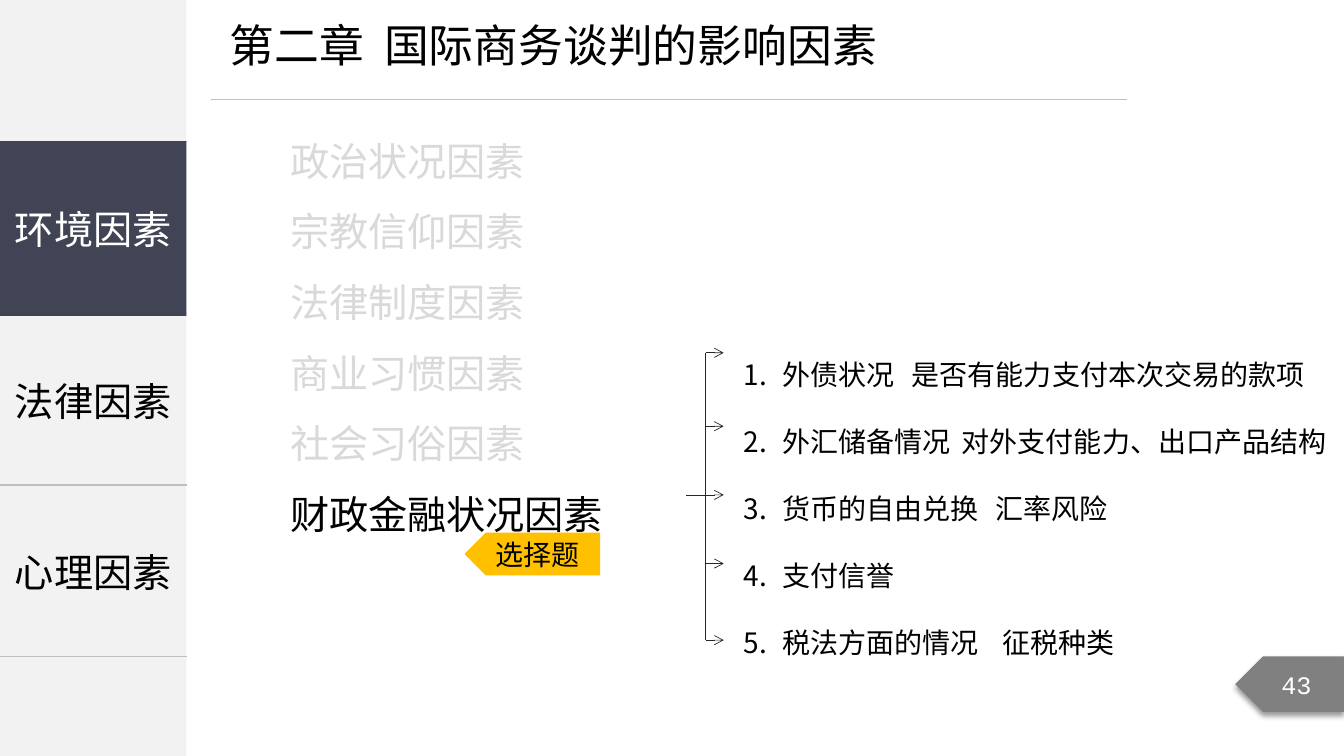
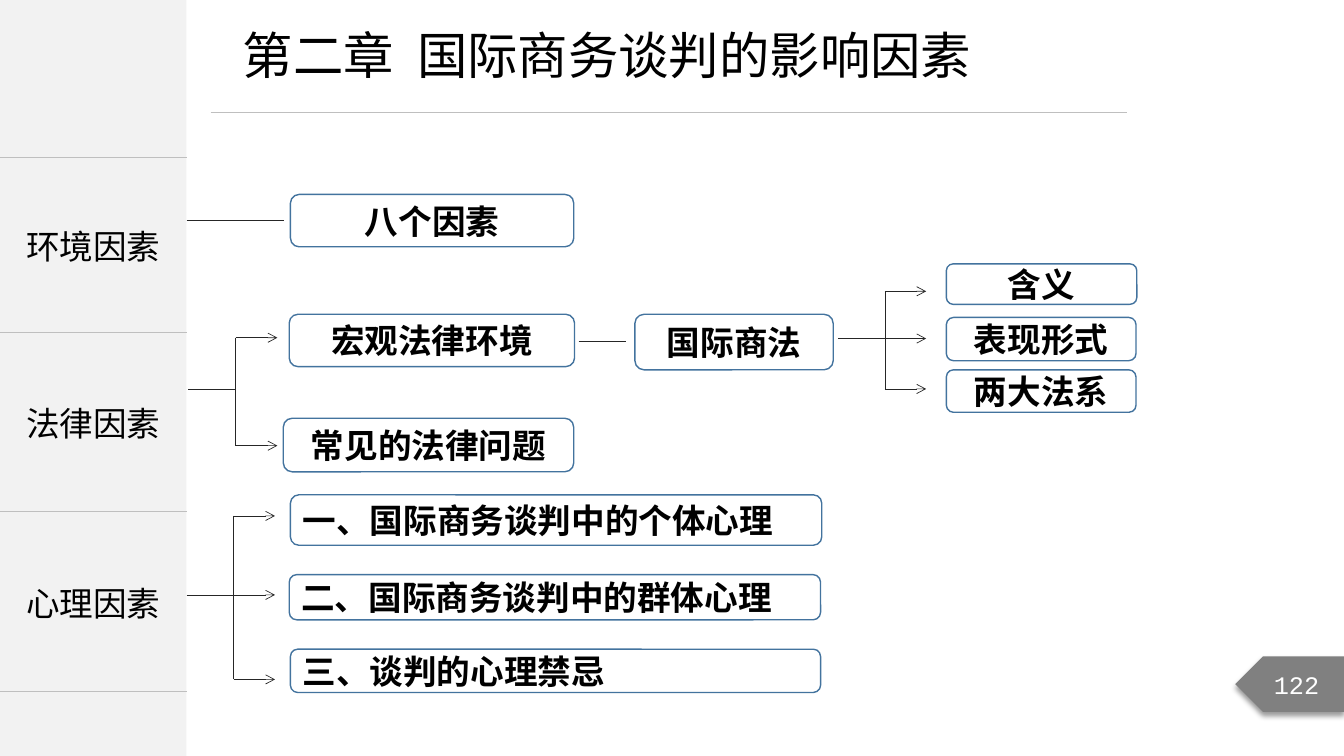
from lxml.etree import SubElement
from pptx import Presentation
from pptx.dml.color import RGBColor
from pptx.enum.shapes import MSO_CONNECTOR, MSO_SHAPE
from pptx.enum.text import MSO_ANCHOR, PP_ALIGN
from pptx.oxml.ns import qn
from pptx.util import Cm, Pt

BLACK = RGBColor(0x00, 0x00, 0x00)
WHITE = RGBColor(0xFF, 0xFF, 0xFF)
SIDEBAR = RGBColor(0xF2, 0xF2, 0xF2)
NAVY = RGBColor(0x41, 0x44, 0x55)
GREY = RGBColor(0x80, 0x80, 0x80)
RULE = RGBColor(0xBF, 0xBF, 0xBF)
FADED = RGBColor(0xD9, 0xD9, 0xD9)
INK = RGBColor(0x26, 0x26, 0x26)
AMBER = RGBColor(0xFF, 0xC0, 0x00)
BLUE = RGBColor(0x43, 0x73, 0x9E)
CJK = "Noto Sans CJK SC"
MONO = "Courier New"
SIDEBAR_WIDTH = 4.7
LEFT, CENTER = PP_ALIGN.LEFT, PP_ALIGN.CENTER


def style_text(paragraph, size, color, align=LEFT, bold=False, face=CJK, tab=None):
    """Format the runs of a paragraph; tab is a tab stop in cm."""
    paragraph.alignment = align
    if tab:
        stops = SubElement(paragraph._p.get_or_add_pPr(), qn("a:tabLst"))
        SubElement(stops, qn("a:tab"), pos=str(Cm(tab)), algn="l")
    for run in paragraph.runs:
        run.font.size = Pt(size)
        run.font.bold = bold
        run.font.color.rgb = color
        run.font.name = face
        SubElement(run._r.get_or_add_rPr(), qn("a:ea"), typeface=face)


def add_line(slide, x1, y1, x2, y2, color=INK, arrow=False):
    line = slide.shapes.add_connector(
        MSO_CONNECTOR.STRAIGHT, Cm(x1), Cm(y1), Cm(x2), Cm(y2))
    line.line.color.rgb = color
    line.line.width = Pt(0.5)
    if arrow:
        SubElement(line.line._get_or_add_ln(), qn("a:tailEnd"), type="arrow")
    SubElement(line._element.spPr, qn("a:effectLst"))


# What differs between the two pages
# block: preset, place, fill, outline, text, size, colour, alignment, bold
PLATE, BOX, ROUND = MSO_SHAPE.PENTAGON, MSO_SHAPE.RECTANGLE, MSO_SHAPE.ROUNDED_RECTANGLE
topics = [
    ("八个因素", (7.32, 4.9, 7.14, 1.32), CENTER),
    ("宏观法律环境", (7.29, 7.92, 7.19, 1.32), CENTER),
    ("国际商法", (16, 7.92, 5, 1.4), CENTER),
    ("常见的法律问题", (7.14, 10.54, 7.32, 1.35), CENTER),
    ("含义", (23.85, 6.65, 4.8, 1.02), CENTER),
    ("表现形式", (23.85, 8, 4.78, 1.09), CENTER),
    ("两大法系", (23.85, 9.32, 4.78, 1.07), CENTER),
    ("一、国际商务谈判中的个体心理", (7.32, 12.47, 13.39, 1.27), LEFT),
    ("二、国际商务谈判中的群体心理", (7.29, 14.48, 13.39, 1.14), LEFT),
    ("三、谈判的心理禁忌", (7.32, 16.36, 13.36, 1.09), LEFT),
]
pages = [
    {
        "number": "43",
        "title": (5.54, 0.33, 17.6, 1.6), "title_size": 32, "title_tab": 3.89,
        "rule_y": 2.51,
        "menu_top": 3.56, "menu_rows": [4.33, 4.33, 4.33], "menu_size": 28,
        "menu": ["", "法律因素", "心理因素"],
        "blocks": [
            (BOX, (0, 3.56, SIDEBAR_WIDTH, 4.4), NAVY, None, "环境因素", 28, WHITE, CENTER, False),
            (PLATE, (11.73, 13.44, 3.38, 1.04), AMBER, AMBER, "选择题", 20, BLACK, CENTER, False),
        ],
        # bracket: stem x, trunk x, tip x, stem y, branch ys
        "brackets": [(17.3, 17.78, 18.24, 12.47, [8.89, 10.74, 12.47, 14.2, 16.13])],
        "links": [],
    },
    {
        "number": "122",
        "title": (5.87, 0.48, 19.76, 1.8), "title_size": 36, "title_tab": 4.39,
        "rule_y": 2.84,
        "menu_top": 3.96, "menu_rows": [4.42, 4.52, 4.52], "menu_size": 24,
        "menu": ["环境因素", "法律因素", "心理因素"],
        "blocks": [(ROUND, place, None, BLUE, text, 24, BLACK, align, True)
                   for text, place, align in topics],
        "brackets": [
            (4.7, 5.89, 6.93, 14.99, [13, 14.99, 17.12]),
            (21.13, 22.3, 23.34, 8.53, [7.34, 8.53, 9.8]),
            (4.75, 5.94, 6.99, 9.8, [8.51, 11.23]),
        ],
        "links": [(4.7, 7.16, 5.56), (14.58, 15.77, 8.61)],
    },
]

deck = Presentation()
deck.slide_width, deck.slide_height = Cm(33.87), Cm(19.05)
slides = []

for page in pages:
    slide = deck.slides.add_slide(deck.slide_layouts[6])
    slides.append(slide)

    # Sidebar
    sidebar = slide.shapes.add_shape(BOX, 0, 0, Cm(SIDEBAR_WIDTH), deck.slide_height)
    sidebar.shadow.inherit = False
    sidebar.fill.solid()
    sidebar.fill.fore_color.rgb = SIDEBAR
    sidebar.line.fill.background()

    # Sidebar menu
    menu = slide.shapes.add_table(
        3, 1, 0, Cm(page["menu_top"]), Cm(SIDEBAR_WIDTH), Cm(sum(page["menu_rows"]))).table
    menu.first_row = menu.horz_banding = False
    for row, height, label in zip(menu.rows, page["menu_rows"], page["menu"]):
        row.height = Cm(height)
        cell = row.cells[0]
        cell.text_frame.text = label
        cell.vertical_anchor = MSO_ANCHOR.MIDDLE
        style_text(cell.text_frame.paragraphs[0], page["menu_size"], BLACK, CENTER)
        borders = cell._tc.get_or_add_tcPr()
        for side in ("lnL", "lnR"):
            SubElement(SubElement(borders, qn("a:" + side), w="0"), qn("a:noFill"))
        for side in ("lnT", "lnB"):
            edge = SubElement(borders, qn("a:" + side), w=str(Pt(1)))
            SubElement(SubElement(edge, qn("a:solidFill")), qn("a:srgbClr"), val=str(RULE))
        cell.fill.background()

    # Title and rule
    title = slide.shapes.add_textbox(*map(Cm, page["title"])).text_frame
    title.word_wrap = False
    title.text = "第二章\t国际商务谈判的影响因素"
    style_text(title.paragraphs[0], page["title_size"], BLACK, tab=page["title_tab"])
    add_line(slide, 5.31, page["rule_y"], 28.4, page["rule_y"], RULE)

    # Filled blocks, outlined boxes and page number
    page_tag = (PLATE, (31.13, 16.54, 2.74, 1.4), GREY, None,
                page["number"], 18, WHITE, CENTER, False)
    for block in page["blocks"] + [page_tag]:
        preset, place, fill, outline, text, size, color, align, bold = block
        shape = slide.shapes.add_shape(preset, *map(Cm, place))
        shape.shadow.inherit = False
        if fill:
            shape.fill.solid()
            shape.fill.fore_color.rgb = fill
        else:
            shape.fill.background()
        if outline:
            shape.line.color.rgb = outline
            shape.line.width = Pt(1)
        else:
            shape.line.fill.background()
        if preset == PLATE:
            shape._element.spPr.xfrm.set("flipH", "1")
        if block is page_tag:
            effects = shape._element.spPr.find(qn("a:effectLst"))
            shadow = SubElement(effects, qn("a:outerShdw"), blurRad=str(Pt(4)),
                                dist=str(Pt(3)), dir="5400000", rotWithShape="0")
            tint = SubElement(shadow, qn("a:srgbClr"), val=str(BLACK))
            SubElement(tint, qn("a:alpha"), val="40000")
        shape.text_frame.text = text
        shape.text_frame.vertical_anchor = MSO_ANCHOR.MIDDLE
        style_text(shape.text_frame.paragraphs[0], size, color, align, bold,
                   MONO if block is page_tag else CJK)

    # Brackets and links
    for stem_x, trunk_x, tip_x, stem_y, branches in page["brackets"]:
        add_line(slide, stem_x, stem_y, trunk_x, stem_y)
        add_line(slide, trunk_x, branches[0], trunk_x, branches[-1])
        for y in branches:
            add_line(slide, trunk_x, y, tip_x, y, arrow=True)
    for start, end, y in page["links"]:
        add_line(slide, start, y, end, y)

# Environment factors, the last one current
factors = ["政治状况因素", "宗教信仰因素", "法律制度因素",
           "商业习惯因素", "社会习俗因素", "财政金融状况因素"]
outline_frame = slides[0].shapes.add_textbox(Cm(7.06), Cm(2.74), Cm(20.52), Cm(12.8)).text_frame
outline_frame.word_wrap = True
outline_frame.text = "\n".join(factors)
for paragraph, factor in zip(outline_frame.paragraphs, factors):
    paragraph.line_spacing = Pt(50.4)
    style_text(paragraph, 28, BLACK if factor == factors[-1] else FADED)

# Financial points: wording and tab stop of the remark
points = [
    ("外债状况\t是否有能力支付本次交易的款项", 4.24),
    ("外汇储备情况\t对外支付能力、出口产品结构", 5.5),
    ("货币的自由兑换\t汇率风险", 6.35),
    ("支付信誉", None),
    ("税法方面的情况\t征税种类", 6.53),
]
points_frame = slides[0].shapes.add_textbox(Cm(18.49), Cm(8.03), Cm(15.88), Cm(8.8)).text_frame
points_frame.word_wrap = True
points_frame.text = "\n".join(text for text, _ in points)
for paragraph, (_, tab) in zip(points_frame.paragraphs, points):
    paragraph.line_spacing = Pt(48)
    properties = paragraph._p.get_or_add_pPr()
    properties.set("marL", str(Cm(0.97)))
    properties.set("indent", str(-Cm(0.97)))
    SubElement(properties, qn("a:buFont"), typeface=CJK)
    SubElement(properties, qn("a:buAutoNum"), type="arabicPeriod")
    style_text(paragraph, 20, BLACK, tab=tab)

deck.save("out.pptx")
